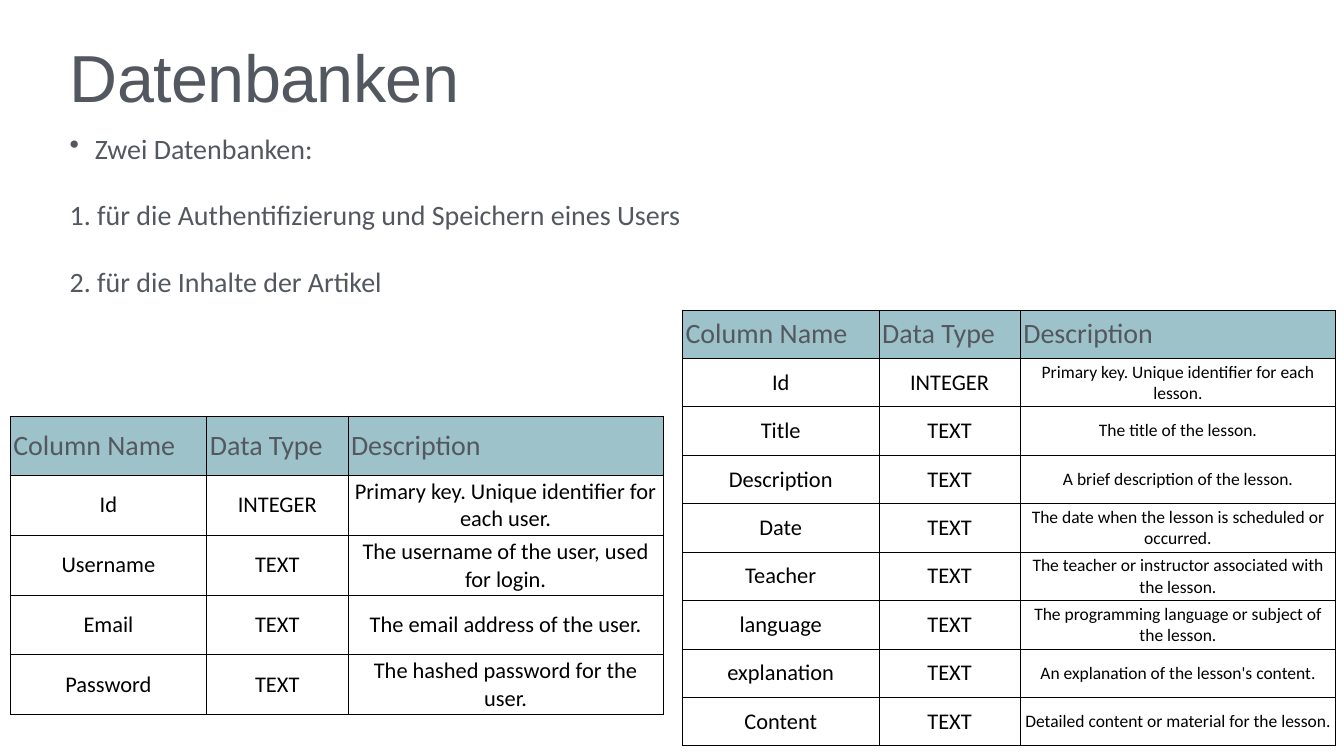
"""Build the slide "Datenbanken" with the column tables of two databases."""
from lxml import etree
from pptx import Presentation
from pptx.dml.color import RGBColor
from pptx.enum import text as t
from pptx.oxml import ns
from pptx.util import Cm, Pt

SLATE = RGBColor(0x53, 0x58, 0x60)
TEAL = RGBColor(0x9E, 0xC2, 0xC9)
BLACK = RGBColor(0, 0, 0)
WHITE = RGBColor(255, 255, 255)
INSET = Cm(0.16)

TITLE = "Datenbanken"
BULLET = "Zwei Datenbanken:"
DATABASES = [
    "1. für die Authentifizierung und Speichern eines Users",
    "2. für die Inhalte der Artikel",
]
HEADER = ("Column Name", "Data Type", "Description")
COLUMN_WIDTHS = (9.91, 7.11, 15.9)
USERS = [
    ("Id", "INTEGER", "Primary key. Unique identifier for each user."),
    ("Username", "TEXT", "The username of the user, used for login."),
    ("Email", "TEXT", "The email address of the user."),
    ("Password", "TEXT", "The hashed password for the user."),
]
LESSONS = [
    ("Id", "INTEGER", "Primary key. Unique identifier for each lesson."),
    ("Title", "TEXT", "The title of the lesson."),
    ("Description", "TEXT", "A brief description of the lesson."),
    ("Date", "TEXT", "The date when the lesson is scheduled or occurred."),
    ("Teacher", "TEXT", "The teacher or instructor associated with the lesson."),
    ("language", "TEXT", "The programming language or subject of the lesson."),
    ("explanation", "TEXT", "An explanation of the lesson's content."),
    ("Content", "TEXT", "Detailed content or material for the lesson."),
]
SCHEMAS = [
    dict(rows=USERS, left=0.51, top=20.96, row_height=2.98, description_size=32),
    dict(rows=LESSONS, left=34.39, top=15.62, row_height=2.44, description_size=25),
]


def write(paragraph, words, size=40, font="Calibri", color=SLATE,
          align=t.PP_ALIGN.LEFT, before=47, line=1.0, tracking=None, bullet=None):
    """Fill a paragraph with one formatted run."""
    paragraph.alignment = align
    paragraph.space_before = Pt(before)
    paragraph.line_spacing = line
    run = paragraph.add_run()
    run.text = words
    run.font.size = Pt(size)
    run.font.name = font
    run.font.color.rgb = color
    if tracking:
        run.font._element.set("spc", str(round(tracking * 100)))
    if bullet:
        properties = paragraph._p.get_or_add_pPr()
        properties.set("marL", str(Cm(1.27)))
        properties.set("indent", str(-Cm(1.27)))
        etree.SubElement(properties, ns.qn("a:buChar"), char=bullet)


def add_frame(slide, left, top, width, height, anchor):
    """Add a wrapping text box and return its text frame."""
    frame = slide.shapes.add_textbox(Cm(left), Cm(top), Cm(width), Cm(height)).text_frame
    frame.word_wrap = True
    frame.vertical_anchor = anchor
    frame.margin_left = frame.margin_right = INSET
    frame.margin_top = frame.margin_bottom = INSET
    return frame


def add_borders(cell):
    """Draw a thin black line on all four sides of a cell."""
    properties = cell._tc.get_or_add_tcPr()
    for position, side in enumerate(("lnL", "lnR", "lnT", "lnB")):
        border = etree.Element(ns.qn(f"a:{side}"), w=str(Pt(1)))
        fill = etree.SubElement(border, ns.qn("a:solidFill"))
        etree.SubElement(fill, ns.qn("a:srgbClr"), val=str(BLACK))
        properties.insert(position, border)


def add_schema(slide, rows, left, top, row_height, description_size):
    """Add the column table of one database."""
    lines = [HEADER, *rows]
    schema = slide.shapes.add_table(
        len(lines), len(HEADER), Cm(left), Cm(top),
        Cm(sum(COLUMN_WIDTHS)), Cm(row_height * len(lines))).table
    for column, width in zip(schema.columns, COLUMN_WIDTHS):
        column.width = Cm(width)
    sizes = (32, 32, description_size)
    for r, line in enumerate(lines):
        schema.rows[r].height = Cm(row_height)
        for c, words in enumerate(line):
            cell = schema.cell(r, c)
            cell.vertical_anchor = t.MSO_ANCHOR.MIDDLE
            cell.margin_left = cell.margin_right = INSET
            cell.margin_top = cell.margin_bottom = INSET
            cell.fill.solid()
            cell.fill.fore_color.rgb = WHITE if r else TEAL
            add_borders(cell)
            style = dict(size=sizes[c], color=BLACK, align=t.PP_ALIGN.CENTER) if r else {}
            write(cell.text_frame.paragraphs[0], words, **style)


def main():
    """Assemble and save the slide."""
    deck = Presentation()
    deck.slide_width, deck.slide_height = Cm(67.73), Cm(38.1)
    slide = deck.slides.add_slide(deck.slide_layouts[6])

    title = add_frame(slide, 3.35, 1.75, 61.04, 4.7, t.MSO_ANCHOR.MIDDLE)
    write(title.paragraphs[0], TITLE, size=95, font="Arial", before=0, line=0.9, tracking=-0.9)

    body = add_frame(slide, 3.35, 6.45, 61.04, 22.94, t.MSO_ANCHOR.TOP)
    write(body.paragraphs[0], BULLET, bullet="•")
    for database in DATABASES:
        write(body.add_paragraph(), database)

    for schema in SCHEMAS:
        add_schema(slide, **schema)
    deck.save("out.pptx")


if __name__ == "__main__":
    main()
